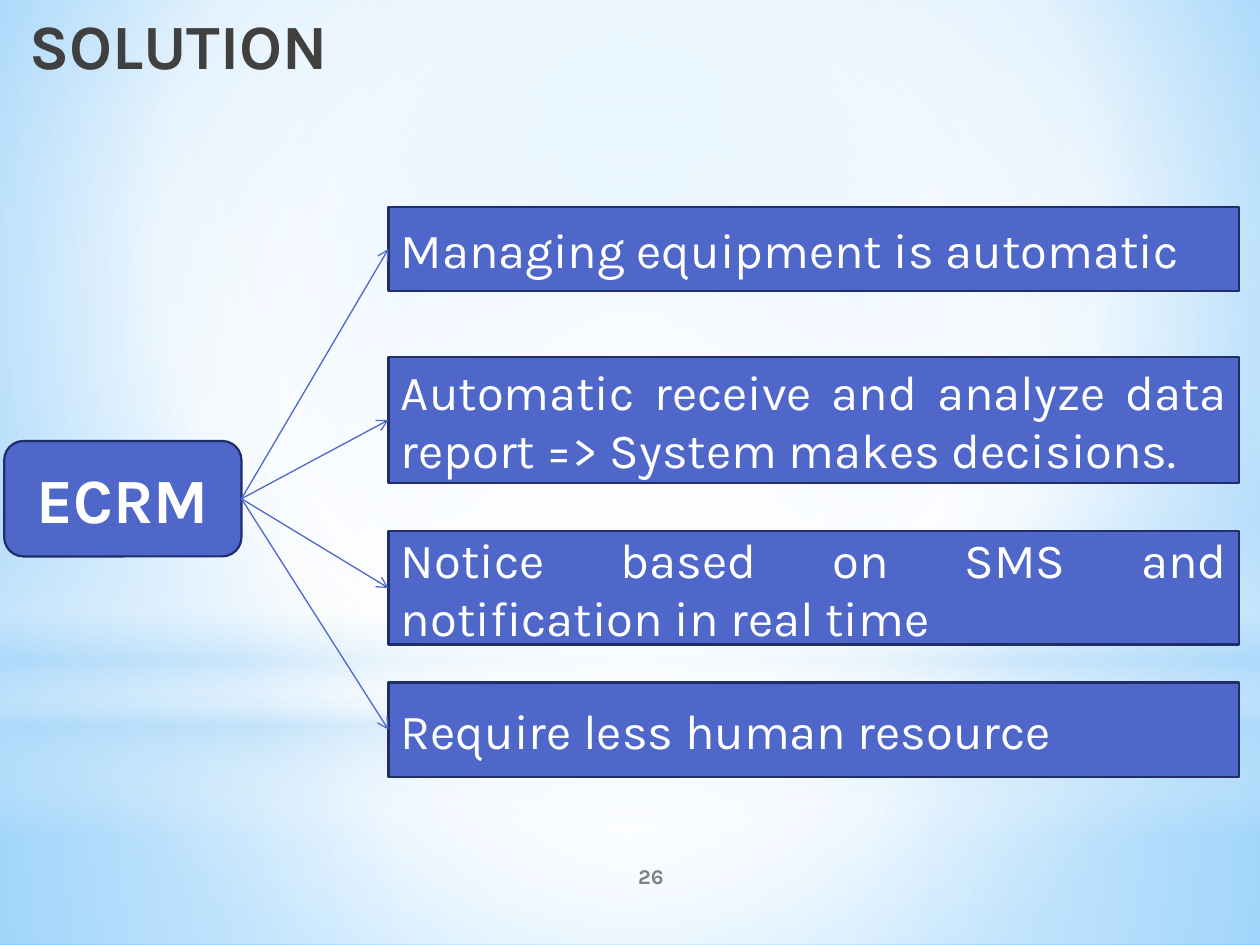
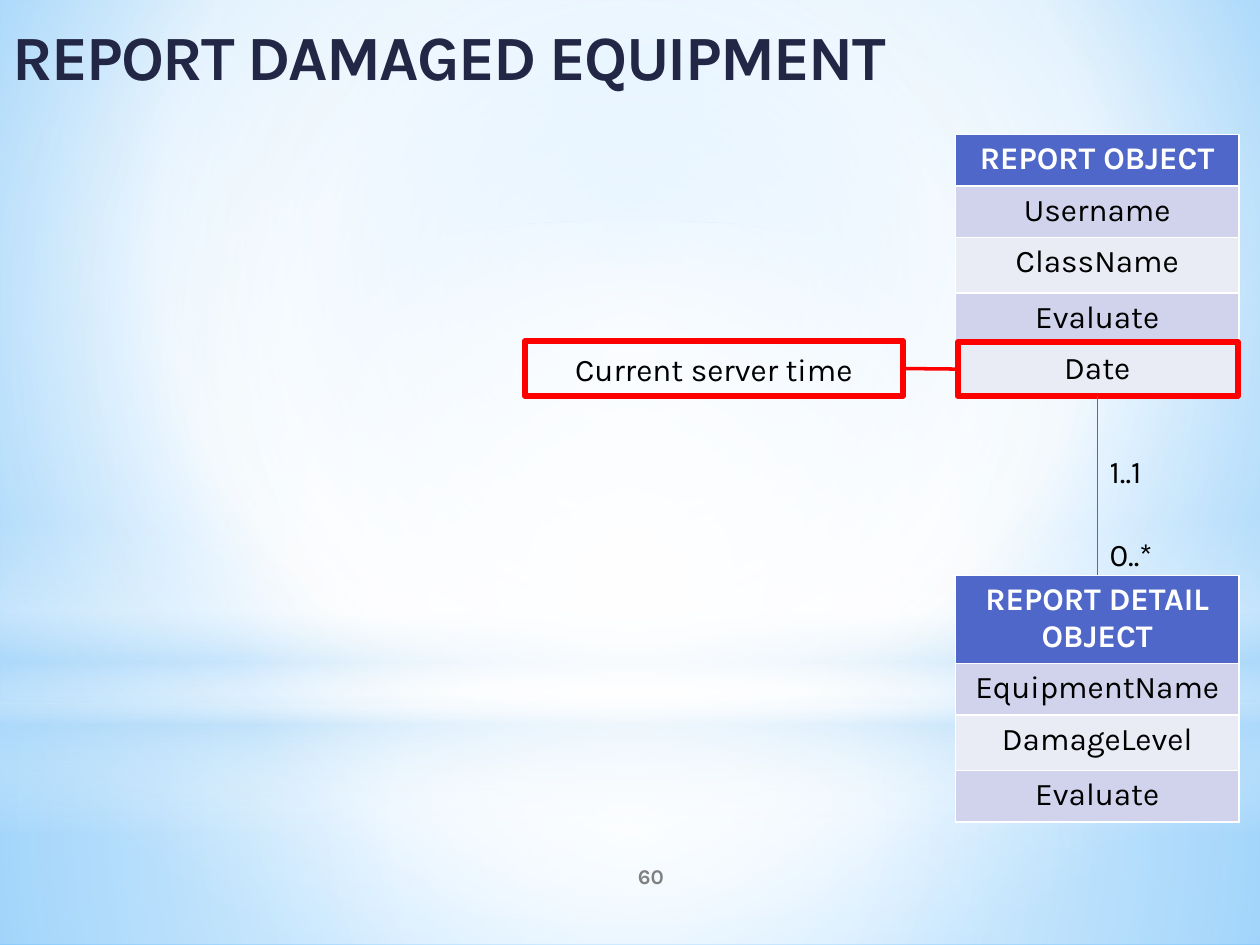
from lxml import etree
from pptx import Presentation, util as u
from pptx.dml.color import RGBColor
from pptx.enum import shapes, text
from pptx.oxml import ns

RECT = shapes.MSO_SHAPE.RECTANGLE
OVAL = shapes.MSO_SHAPE.OVAL
ROUND = shapes.MSO_SHAPE.ROUNDED_RECTANGLE
LEFT, MID, RIGHT, JUST = (text.PP_ALIGN.LEFT, text.PP_ALIGN.CENTER,
                          text.PP_ALIGN.RIGHT, text.PP_ALIGN.JUSTIFY)
TOP, CENTER = text.MSO_ANCHOR.TOP, text.MSO_ANCHOR.MIDDLE
COLS, ROWS = 120, 90
CELL = u.Inches(10) // COLS


class Theme:
    font = "Karla"
    blue, navy, ink = "4E67C8", "1F2E69", "212745"
    white, black, gray, red = "FFFFFF", "000000", "808080", "FF0000"
    stripes = "D0D3EB", "E9EBF5"
    head, item, body, small = 36, 28, 18, 12
    thin, edge, link, thick = 0.75, 1.25, 2, 3.5
    fade = [(0, "000000", 100), (40, "404040", 100), (100, "212745", 65)]
    sky = [(0, "9ED5FF", 100), (60, "FFFFFF", 100), (100, "5BB9FF", 100)]
    # kind, place in columns and rows, stops (position, colour, opacity), focus
    bands = [
        (RECT, (0, 67, 120, 23),
         [(0, "FFFFFF", 91), (37, "FFFFFF", 76), (100, "B4DCFA", 79)], (50,) * 4),
        (RECT, (0, 0, 120, 67),
         [(0, "FFFFFF", 89), (48, "FFFFFF", 62), (100, "B4DCFA", 79)], (50,) * 4),
        (RECT, (0, 49.5, 120, 30),
         [(0, "FFFFFF", 0), (29, "FFFFFF", 30), (45, "B4DCFA", 40),
          (55, "FFFFFF", 26), (65, "B4DCFA", 60), (100, "FFFFFF", 0)], None),
        (OVAL, (0, 21, 120, 67),
         [(0, "FFFFFF", 100), (56, "FFFFFF", 0)], (50,) * 4),
    ]


def grid(spot):
    return [round(n * CELL) for n in spot]


def rgb(code):
    return RGBColor.from_string(code)


def apply(item, form):
    for name, value in form.items():
        setattr(item, name, value)


def blend(props, stops, focus=None):
    """Swap the solid fill in props for a gradient: round a focus, else downward."""
    grad = etree.Element(ns.qn("a:gradFill"), rotWithShape="1")
    group = etree.SubElement(grad, ns.qn("a:gsLst"))
    for pos, code, alpha in stops:
        stop = etree.SubElement(group, ns.qn("a:gs"), pos=str(pos * 1000))
        color = etree.SubElement(stop, ns.qn("a:srgbClr"), val=code)
        if alpha < 100:
            etree.SubElement(color, ns.qn("a:alpha"), val=str(alpha * 1000))
    if focus:
        way = etree.SubElement(grad, ns.qn("a:path"))
        way.set("path", "circle")
        sides = {k: str(v * 1000) for k, v in zip("ltrb", focus)}
        etree.SubElement(way, ns.qn("a:fillToRect"), **sides)
    else:
        etree.SubElement(grad, ns.qn("a:lin"), ang="5400000", scaled="0")
    props.replace(props.find(ns.qn("a:solidFill")), grad)


class Deck:
    def __init__(self, theme):
        self.theme = theme
        self.file = Presentation()
        apply(self.file, {"slide_width": COLS * CELL, "slide_height": ROWS * CELL})
        self.slide = None

    def page(self, number):
        first = self.slide is None
        self.slide = self.file.slides.add_slide(self.file.slide_layouts[6])
        if first:
            self.scene()
        self.label((50, 81, 24, 4.8), number, size=self.theme.small,
                   color=self.theme.gray, bold=True, align=MID, anchor=CENTER)

    def scene(self):
        """Put the sky and its bands on the master."""
        master = self.file.slide_master
        master.background.fill.solid()
        blend(master.element.xpath(".//p:bgPr")[0], self.theme.sky, (20, 10, 20, 60))
        for i, (kind, spot, stops, focus) in enumerate(self.theme.bands):
            band = self.box(spot, fill=self.theme.white, kind=kind)
            blend(band.element.spPr, stops, focus)
            band.element.nvSpPr.cNvPr.id = 20 + i
            master.shapes.element.insert(2 + i, band.element)

    def words(self, frame, words, size, color, bold=False, align=LEFT):
        para = frame.paragraphs[0]
        para.alignment = align
        run = para.add_run()
        run.text = words
        apply(run.font, {"name": self.theme.font, "size": u.Pt(size), "bold": bold})
        run.font.color.rgb = rgb(color)

    def label(self, spot, words, anchor=TOP, wrap=True, **look):
        item = self.slide.shapes.add_textbox(*grid(spot))
        apply(item.text_frame, {"word_wrap": wrap, "vertical_anchor": anchor})
        self.words(item.text_frame, words, **look)
        return item

    def title(self, spot, words, **look):
        """Add a heading and return its run properties."""
        item = self.label(spot, words, size=self.theme.head, bold=True, **look)
        return item.element.xpath(".//a:rPr")[0]

    def box(self, spot, words="", fill=None, line=None, width=1, kind=RECT, **look):
        item = self.slide.shapes.add_shape(kind, *grid(spot))
        item.shadow.inherit = False
        for paint, code in (item.fill, fill), (item.line.fill, line):
            if code:
                paint.solid()
                paint.fore_color.rgb = rgb(code)
            else:
                paint.background()
        if line:
            item.line.width = u.Pt(width)
        if words:
            item.text_frame.vertical_anchor = CENTER
            self.words(item.text_frame, words, **look)
        return item

    def join(self, start, side, end, color, width, arrow=False):
        """Link a side of start to the left of a shape, or to a (column, row) point."""
        point = grid(end) if isinstance(end, tuple) else (0, 0)
        wire = self.slide.shapes.add_connector(
            shapes.MSO_CONNECTOR.STRAIGHT, 0, 0, *point)
        wire.begin_connect(start, side)
        if not isinstance(end, tuple):
            wire.end_connect(end, 1)
        wire.line.color.rgb = rgb(color)
        wire.line.width = u.Pt(width)
        props = wire.element.spPr
        if arrow:
            etree.SubElement(props.find(ns.qn("a:ln")), ns.qn("a:tailEnd"), type="arrow")
        etree.SubElement(props, ns.qn("a:effectLst"))

    def table(self, left, top, names):
        """Add a one-column table whose first name is the header."""
        t = self.theme
        high = [5.3 if i == 2 else 4.9 for i in range(len(names))]
        spot = grid((left, top, 27, sum(high)))
        list_table = self.slide.shapes.add_table(len(names), 1, *spot).table
        for i, name in enumerate(names):
            list_table.rows[i].height = round(high[i] * CELL)
            cell = list_table.cell(i, 0)
            cell.fill.solid()
            cell.fill.fore_color.rgb = rgb(t.stripes[(i - 1) % 2] if i else t.blue)
            self.words(cell.text_frame, name, t.body, t.black if i else t.white,
                       bold=not i, align=MID)


def solution(deck):
    t = deck.theme
    deck.page("26")
    block = {"fill": t.blue, "line": t.navy, "width": t.edge, "color": t.white}
    hub = deck.box((0.4, 42, 22.6, 11), "ECRM", kind=ROUND, size=t.head,
                   bold=True, align=MID, **block)
    gains = [
        (19.7, 8, "Managing equipment is automatic"),
        (34, 12, "Automatic receive and analyze data report => System makes decisions."),
        (50.6, 10.8, "Notice based on SMS and notification in real time"),
        (65, 9, "Require less human resource"),
    ]
    for top, high, words in gains:
        gain = deck.box((37, top, 81, high), words, size=t.item, align=JUST, **block)
        deck.join(hub, 3, gain, t.blue, t.thin, arrow=True)
    blend(deck.title((0.4, 0, 32, 10.5), "SOLUTION", color=t.ink, align=RIGHT), t.fade)


def report(deck):
    t = deck.theme
    deck.page("60")
    deck.title((0, 0, 92, 10.5), "REPORT DAMAGED EQUIPMENT", color=t.ink,
               anchor=CENTER).set("spc", "-100")
    deck.table(91, 12.8, ["REPORT OBJECT", "Username", "ClassName", "Evaluate", "Date"])
    deck.table(91, 54.8, ["REPORT DETAIL OBJECT", "EquipmentName", "DamageLevel",
                          "Evaluate"])
    for top, count in (42.5, "1..1"), (50.4, "0..*"):
        deck.label((104.5, top, 7, 4.8), count, wrap=False, size=t.body, color=t.black)
    mark = {"line": t.red, "width": t.thick}
    date = deck.box((91.2, 32.6, 26.7, 5.1), **mark)
    clock = deck.box((50, 32.5, 36, 5.2), "Current server time", size=t.body,
                     color=t.black, align=MID, **mark)
    deck.join(clock, 3, date, t.red, t.link)
    deck.join(date, 2, (104.55, 54.8), t.blue, t.thin)


def main():
    deck = Deck(Theme)
    solution(deck)
    report(deck)
    deck.file.save("out.pptx")


if __name__ == "__main__":
    main()
